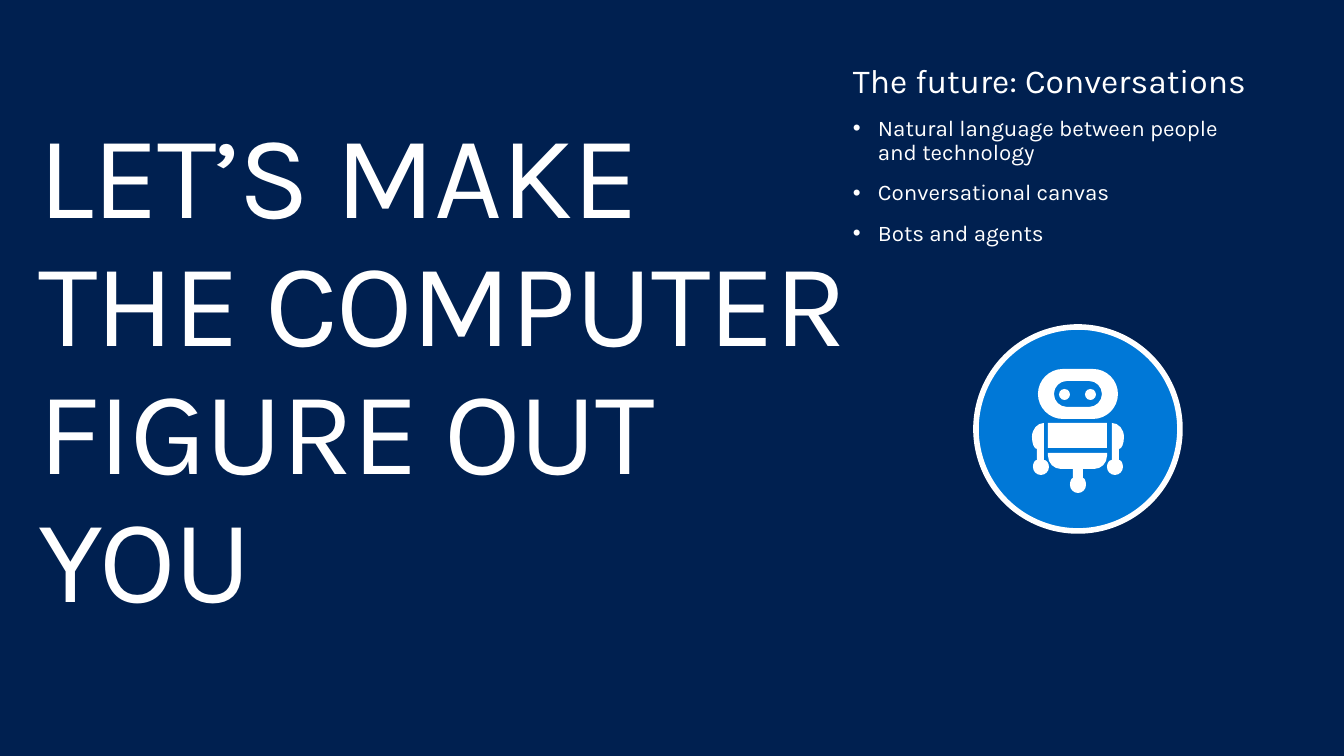
from lxml import etree
from pptx import Presentation
from pptx import util as u
from pptx.dml.color import RGBColor
from pptx.enum import shapes, text
from pptx.oxml.ns import qn

PX = 12192000 / 1344
FINE = 100
BEND = 0.55
NAVY = RGBColor(0x00, 0x20, 0x50)
BLUE = RGBColor(0x00, 0x78, 0xD7)
WHITE = RGBColor(0xFF, 0xFF, 0xFF)
FONT = "Karla"


def px(n):
    return u.Emu(round(n * PX))


def place(holder, box, pads, fit):
    holder.left, holder.top, holder.width, holder.height = map(px, box)
    frame = holder.text_frame
    frame.word_wrap = True
    frame.auto_size = fit
    frame.vertical_anchor = text.MSO_ANCHOR.TOP
    (frame.margin_left, frame.margin_top,
     frame.margin_right, frame.margin_bottom) = map(px, pads)
    return frame


def add_par(frame, first, gap=0):
    par = frame.paragraphs[0] if first else frame.add_paragraph()
    par.alignment = text.PP_ALIGN.LEFT
    par.line_spacing = 0.9
    par.space_before = u.Pt(gap)
    par.space_after = u.Pt(0)
    return par


def add_run(par, words, size):
    run = par.add_run()
    run.text = words
    run.font.name = FONT
    run.font.size = u.Pt(size)
    run.font.color.rgb = WHITE
    return run


def add_title(holder, box):
    frame = place(holder, box, (15, 10, 15, 10), text.MSO_AUTO_SIZE.NONE)
    for i, words in enumerate(("LET’S MAKE", "THE COMPUTER FIGURE OUT YOU")):
        run = add_run(add_par(frame, i == 0), words, 84.6)
        run._r.get_or_add_rPr().set("spc", "-100")


def set_bullet(par, mark):
    props = par._p.get_or_add_pPr()
    props.set("marL", str(px(25) if mark else 0))
    props.set("indent", str(px(-25) if mark else 0))
    if mark:
        face = etree.SubElement(props, qn("a:buFont"))
        face.set("typeface", "Arial")
        etree.SubElement(props, qn("a:buChar")).set("char", mark)
    else:
        etree.SubElement(props, qn("a:buNone"))


def add_body(holder, box):
    frame = place(holder, box, (20, 10, 20, 16),
                  text.MSO_AUTO_SIZE.SHAPE_TO_FIT_TEXT)
    head = add_par(frame, True)
    set_bullet(head, None)
    add_run(head, "The future: Conversations", 24)
    points = (
        ("Natural language between people ", "and technology"),
        ("Conversational canvas",),
        ("Bots and agents",),
    )
    for lines in points:
        par = add_par(frame, False, 11.8)
        par.level = 1
        set_bullet(par, "•")
        for i, words in enumerate(lines):
            if i:
                par.add_line_break()
            add_run(par, words, 16)


def pill(x, y, wide, high):
    r, mid = abs(high) / 2, y + high / 2
    right, low = x + wide, y + high
    return [("M", x + r, low), ("L", right - r, low), ("H", right, mid),
            ("V", right - r, y), ("L", x + r, y), ("H", x, mid),
            ("V", x + r, low)]


def trace(ring):
    dots = [ring[0][1:]]
    for turn, x, y in ring[1:]:
        a, b = dots[-1]
        across, down = BEND * (x - a), BEND * (y - b)
        if turn == "H":
            dots += [(a + across, b), (x, y - down)]
        elif turn == "V":
            dots += [(a, b + down), (x - across, y)]
        else:
            dots += [(x, y)] * 2
        dots.append((x, y))
    return dots


def curve(form):
    lines = list(form._element.iter(qn("a:lnTo")))
    for i in range(0, len(lines), 3):
        bow = lines[i].makeelement(qn("a:cubicBezTo"))
        lines[i].addprevious(bow)
        for line in lines[i:i + 3]:
            bow.append(line[0])
            line.getparent().remove(line)


def paint(shape, color):
    shape.shadow.inherit = False
    shape.fill.solid()
    shape.fill.fore_color.rgb = color
    shape.line.fill.background()
    return shape


def add_robot(slide, box):
    left, top, wide, high = box
    group = slide.shapes.add_group_shape().shapes

    def add_part(kind, x, y, w, h, color=WHITE):
        part = group.add_shape(kind, px(left + x), px(top + y), px(w), px(h))
        return paint(part, color)

    def add_form(*rings):
        rings = [[((left + x) * FINE, (top + y) * FINE)
                  for x, y in trace(ring)] for ring in rings]
        pen = group.build_freeform(*rings[0][0], scale=PX / FINE)
        for i, ring in enumerate(rings):
            if i:
                pen.move_to(*ring[0])
            pen.add_line_segments(ring[1:], close=True)
        form = paint(pen.convert_to_shape(), WHITE)
        curve(form)

    oval = shapes.MSO_SHAPE.OVAL
    disc = add_part(oval, 0, 0, wide, high, BLUE)
    disc.line.color.rgb = WHITE
    disc.line.width = u.Pt(4)

    add_form(pill(62, 42, 80, 50), pill(78, 80, 48, -26))
    for x in (83, 109):
        add_part(oval, x, 62, 11, 11)

    add_form([("M", 131, 126), ("L", 72, 126), ("L", 72, 129),
              ("V", 85, 142), ("L", 97, 142), ("L", 97, 151),
              ("H", 94, 158), ("V", 102, 166), ("H", 110, 158),
              ("V", 107, 151), ("L", 107, 142), ("L", 118, 142),
              ("H", 131, 129), ("L", 131, 126)])
    add_part(shapes.MSO_SHAPE.RECTANGLE, 72, 96, 59, 25)

    arm = [("M", 68, 133), ("L", 68, 124), ("L", 68, 118), ("L", 68, 96),
           ("H", 56, 110), ("V", 61, 122), ("L", 61, 133),
           ("H", 57, 140), ("V", 65, 148), ("H", 73, 140), ("V", 68, 133)]
    add_form(arm)
    add_form([(turn, wide - x, y) for turn, x, y in arm])


def main():
    deck = Presentation()
    deck.slide_width, deck.slide_height = px(1344), px(756)
    slide = deck.slides.add_slide(deck.slide_layouts[1])
    slide.background.fill.solid()
    slide.background.fill.fore_color.rgb = NAVY
    add_body(slide.placeholders[1], (833, 54, 472, 214))
    add_robot(slide, (976, 327, 204, 204))
    add_title(slide.shapes.title, (23, 106, 844, 543))
    deck.save("out.pptx")


if __name__ == "__main__":
    main()
